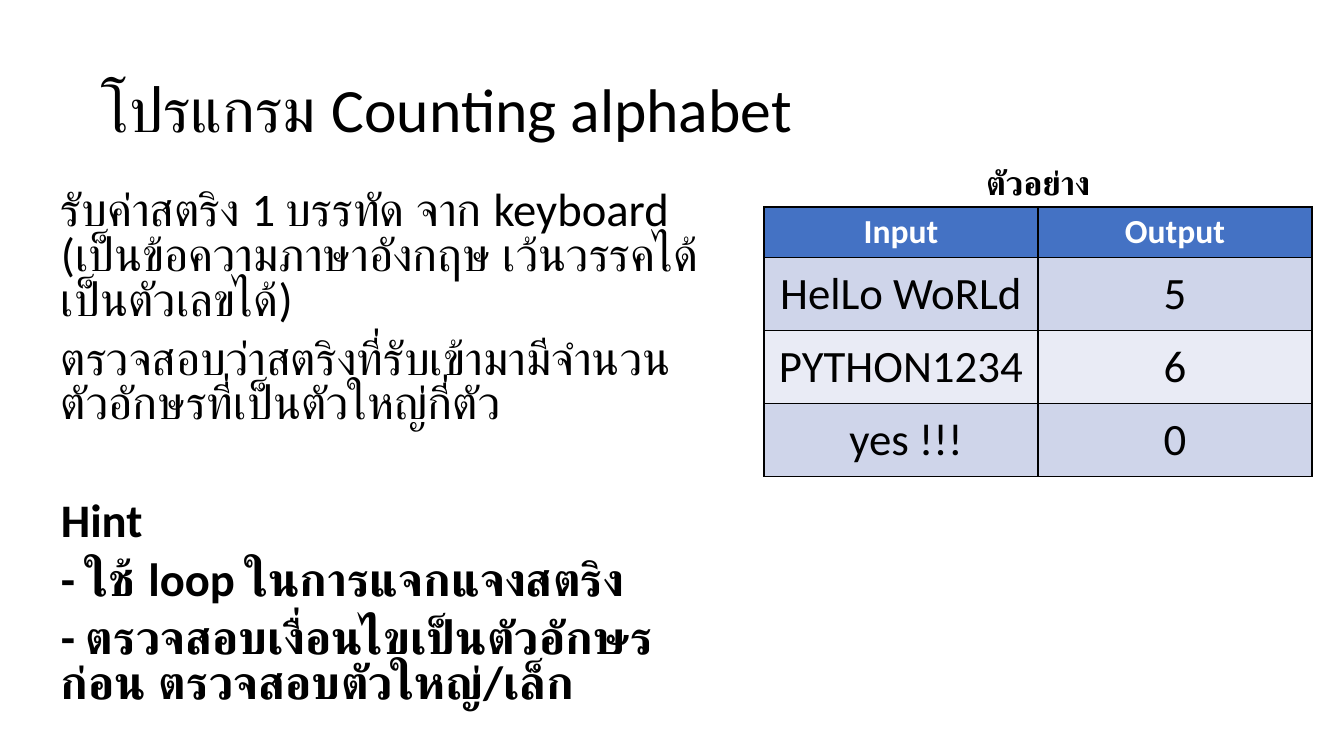
"""Build the slide about the letter counting exercise."""
from dataclasses import dataclass
from lxml.etree import SubElement
from pptx import Presentation
from pptx.dml.color import RGBColor
from pptx.enum.text import MSO_ANCHOR, PP_ALIGN
from pptx.oxml.ns import qn
from pptx.util import Pt


@dataclass(frozen=True)
class Theme:
    """Colours, font and type sizes."""
    font: str = "Calibri"
    ink: str = "000000"
    white: str = "FFFFFF"
    head: str = "4472C4"
    bands: tuple = ("CFD5EA", "E9EBF5")
    title: float = 44
    body: float = 33.3
    cell: float = 32
    label: float = 24


def px(size):
    """Turn whole pixels into EMU."""
    return round(size * 914400 / 100.8)


class Board:
    """Hold the style and the current slide."""

    def __init__(self, deck, theme):
        """Add a blank slide."""
        self.theme = theme
        self.slide = deck.slides.add_slide(deck.slide_layouts[6])

    def style(self, para, size, bold=False, color=None):
        """Format each run of a paragraph."""
        for run in para.runs:
            font = run.font
            font.name, font.size, font.bold = self.theme.font, Pt(size), bold
            font.color.rgb = RGBColor.from_string(color or self.theme.ink)

    def text(self, box, lines, size, bold=(), gaps=None, pitch=1.0,
             align=PP_ALIGN.LEFT, anchor=MSO_ANCHOR.TOP):
        """Add a text box with one paragraph per line."""
        frame = self.slide.shapes.add_textbox(*map(px, box)).text_frame
        frame.word_wrap = True
        frame.vertical_anchor = anchor
        frame.text = "\n".join(lines)
        for row, para in enumerate(frame.paragraphs):
            para.line_spacing, para.alignment = pitch, align
            if gaps:
                para.space_before = Pt(gaps[row])
            self.style(para, size, row in bold)

    def edge(self, cell):
        """Draw a thin line on all sides of a cell."""
        props = cell._tc.get_or_add_tcPr()
        for side in ("lnL", "lnR", "lnT", "lnB"):
            line = SubElement(props, qn(f"a:{side}"), w=str(Pt(1)))
            fill = SubElement(line, qn("a:solidFill"))
            SubElement(fill, qn("a:srgbClr"), val=self.theme.ink)

    def table(self, box, rows, heights):
        """Add a table with a dark head and banded rows."""
        theme = self.theme
        grid = self.slide.shapes.add_table(
            len(rows), len(rows[0]), *map(px, box)).table
        for r, words in enumerate(rows):
            grid.rows[r].height = px(heights[r])
            color = theme.bands[(r - 1) % 2] if r else theme.head
            for c, word in enumerate(words):
                cell = grid.cell(r, c)
                self.edge(cell)
                cell.fill.solid()
                cell.fill.fore_color.rgb = RGBColor.from_string(color)
                cell.vertical_anchor = MSO_ANCHOR.MIDDLE
                cell.text_frame.text = word
                para = cell.text_frame.paragraphs[0]
                para.alignment = PP_ALIGN.CENTER
                if r:
                    self.style(para, theme.cell)
                else:
                    self.style(para, theme.label, True, theme.white)


def main():
    """Build and save the deck."""
    deck = Presentation()
    deck.slide_width, deck.slide_height = px(1344), px(756)
    theme = Theme()
    board = Board(deck, theme)
    board.text((92, 40, 1159, 146), ["โปรแกรม Counting alphabet"],
               theme.title, pitch=0.9, anchor=MSO_ANCHOR.MIDDLE)
    board.text((51, 186, 676, 500), [
        "รับค่าสตริง 1 บรรทัด จาก keyboard (เป็นข้อความภาษาอังกฤษ เว้นวรรคได้ เป็นตัวเลขได้)",
        "ตรวจสอบว่าสตริงที่รับเข้ามามีจำนวนตัวอักษรที่เป็นตัวใหญ่กี่ตัว",
        "Hint",
        "- ใช้ loop ในการแจกแจงสตริง",
        "- ตรวจสอบเงื่อนไขเป็นตัวอักษรก่อน ตรวจสอบตัวใหญ่/เล็ก",
    ], theme.body, bold=(2, 3, 4), gaps=(10, 10, 52, 10, 10), pitch=0.8)
    board.table((764, 207, 548, 269), [
        ("Input", "Output"),
        ("HelLo WoRLd", "5"),
        ("PYTHON1234", "6"),
        (" yes !!!", "0"),
    ], (49, 73, 73, 73))
    board.text((764, 157, 548, 50), ["ตัวอย่าง"], theme.label, bold=(0,),
               align=PP_ALIGN.CENTER)
    deck.save("out.pptx")


if __name__ == "__main__":
    main()
